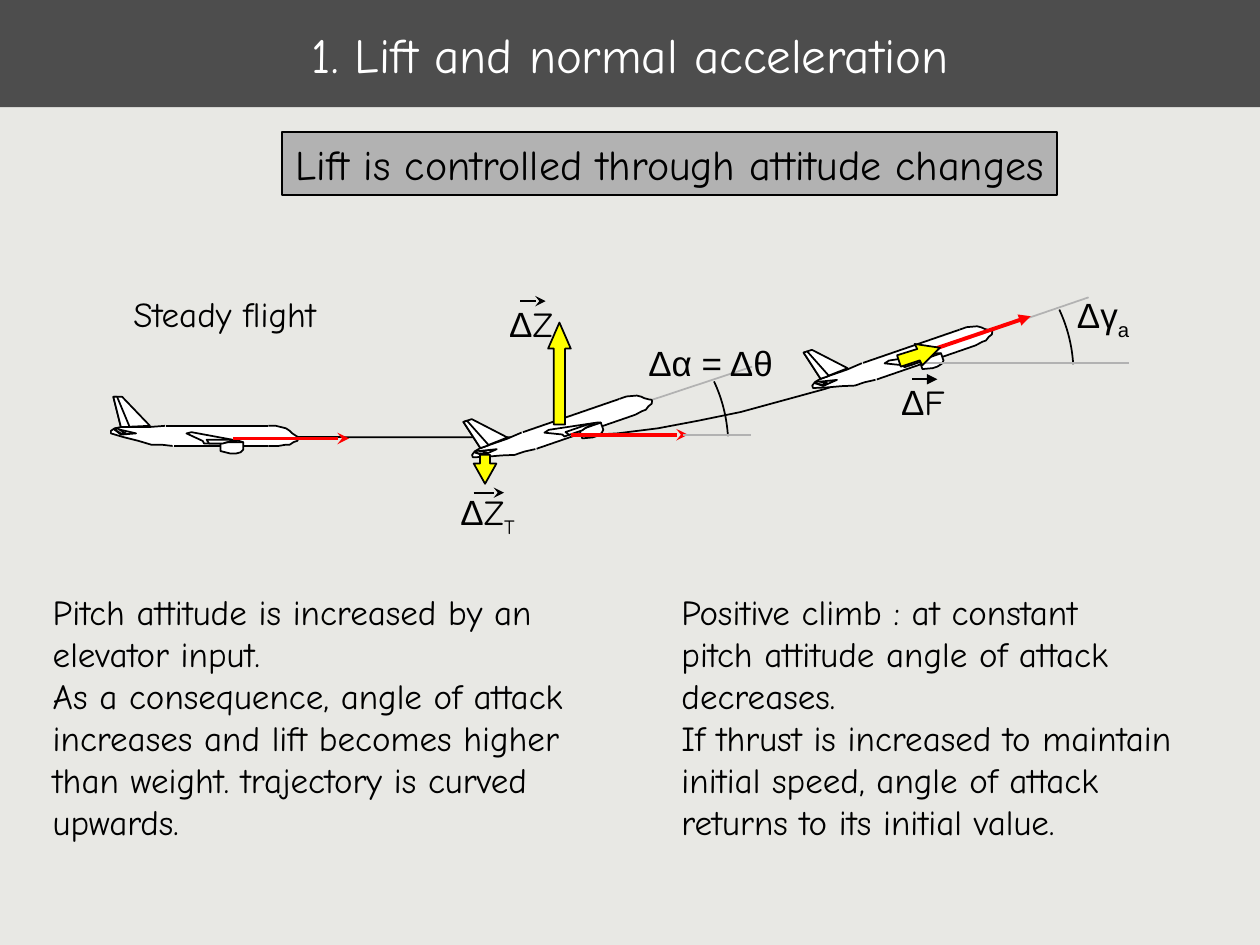
import math
from dataclasses import dataclass
from typing import Optional

import pptx
import pptx.dml.color
import pptx.enum.shapes
import pptx.enum.text
import pptx.oxml
import pptx.oxml.ns
import pptx.util

RGBColor = pptx.dml.color.RGBColor
MSO_SHAPE = pptx.enum.shapes.MSO_SHAPE
ALIGN = pptx.enum.text.PP_ALIGN
ANCHOR = pptx.enum.text.MSO_ANCHOR
Point = tuple[float, float]

BLACK = RGBColor(0, 0, 0)
WHITE = RGBColor(255, 255, 255)
RED = RGBColor(255, 0, 0)
YELLOW = RGBColor(255, 255, 0)
SILVER = RGBColor(0xB2, 0xB2, 0xB2)
CHARCOAL = RGBColor(0x4D, 0x4D, 0x4D)
PAPER = RGBColor(0xE8, 0xE8, 0xE4)
HAND, SANS = "Comic Neue", "Arial"

SLIDE_WIDTH, SLIDE_HEIGHT = pptx.util.Inches(10), pptx.util.Inches(7.5)
COLUMNS, ROWS = 1000, 750


@dataclass(frozen=True)
class Line:
    start: Point
    end: Point
    color: RGBColor = BLACK
    weight: float = 1
    head: Optional[str] = None


@dataclass(frozen=True)
class Run:
    text: str
    font: str = HAND
    subscript: bool = False


@dataclass(frozen=True)
class TextBlock:
    area: tuple[float, float, float, float]
    paragraphs: list[list[Run]]
    align: ALIGN = ALIGN.CENTER
    anchor: ANCHOR = ANCHOR.MIDDLE
    wrap: bool = True
    grow: bool = True
    size: float = 20
    color: RGBColor = BLACK
    fill: Optional[RGBColor] = None
    border: Optional[RGBColor] = None


@dataclass(frozen=True)
class Aircraft:
    position: Point
    climb: float

    def place(self, point: Point) -> Point:
        dx, dy = point[0] - PIVOT[0], point[1] - PIVOT[1]
        cos, sin = math.cos(math.radians(self.climb)), math.sin(math.radians(self.climb))
        return self.position[0] + dx * cos + dy * sin, self.position[1] - dx * sin + dy * cos


PIVOT = (132, 338)
CABIN_CENTER, CABIN_SIZE = (172.5, 346.5), (87, 15)
ROOF = [(213, 338), (132, 338)]
BELLY = [(213, 354), (138, 354)]
NOSE = [(213, 338), (219, 338), (223, 339), (227, 340), (230, 342), (232, 344), (235, 346),
        (237, 347), (237, 348), (236, 350), (233, 351), (230, 353), (227, 353), (221, 354), (213, 354)]
TAIL_CONE = [(131, 338), (118, 339), (96, 339), (91, 340), (88, 342), (88, 344), (98, 347),
             (110, 350), (120, 353), (128, 353), (137, 354)]
FIN = [(119, 338), (97, 315), (90, 315), (96, 339), (119, 338)]
RUDDER = [(103, 339), (93, 315), (90, 315), (96, 339), (103, 339)]
WING = [(148, 344), (152, 343), (190, 350), (193, 351), (191, 352), (185, 352), (174, 352),
        (162, 352), (161, 350), (148, 344)]
ENGINE = [(193, 351), (193, 357), (191, 359), (187, 360), (183, 360), (175, 358), (175, 352),
          (181, 351), (188, 351), (193, 351)]
FLAP = [(188, 350), (183, 349), (177, 349), (164, 349), (166, 352), (177, 352), (180, 351), (188, 350)]
STABILIZER = [(108, 344), (95, 341), (91, 341), (96, 345), (108, 344)]
ELEVATOR = [(100, 344), (93, 340), (91, 341), (96, 344), (100, 344)]
AIRFRAME = [ROOF, NOSE, TAIL_CONE, BELLY, FIN, RUDDER, WING, ENGINE, FLAP, STABILIZER, ELEVATOR]

FLEET = [Aircraft((685, 288), 19), Aircraft((415, 343), 19), Aircraft(PIVOT, 0)]
TRAJECTORY = [(272, 347), (382, 347), (418, 347), (455, 346), (490, 344), (522, 340), (554, 334),
              (588, 327), (621, 318), (654, 309), (685, 299), (716, 290), (741, 282), (762, 277)]
TAIL_FORCE = [(376, 368), (381, 368), (381, 361), (389, 361), (389, 368), (394, 368), (385, 384), (376, 368)]
THRUST = [(726, 273), (728, 277), (712, 282), (715, 291), (730, 286), (732, 290), (746, 276), (726, 273)]

AXES = [Line((712, 288), (864, 236), SILVER), Line((437, 344), (597, 291), SILVER),
        Line((274, 347), (136, 347))]
VECTORS = [
    Line((185, 348), (277, 348), RED, 2.25, "stealth"),
    Line((453, 345), (546, 345), RED, 2.25, "stealth"),
    Line((732, 288), (896, 288), SILVER),
    Line((542, 345), (596, 345), SILVER),
    Line((724, 301), (744, 301), head="triangle"),
    Line((413, 239), (433, 239), head="stealth"),
    Line((376, 391), (400, 391), head="stealth"),
    Line((715, 286), (818, 251), RED, 2.25, "triangle"),
]
ARC_RADIUS = 120
ANGLE_CENTERS = [(458, 353.5), (732, 296.5)]
ARC_START, ARC_END = 335, 356.5

DELTA = Run("Δ", SANS)
LABELS = [
    TextBlock((501, 249, 126, 77), [[Run("Δα = Δθ", SANS)]]),
    TextBlock((839, 228, 73, 48), [[Run("Δγ", SANS), Run("a", SANS, True)]]),
    TextBlock((696, 297, 73, 43), [[DELTA, Run("F")]]),
    TextBlock((385, 235, 73, 43), [[DELTA, Run("Z")]]),
    TextBlock((343, 384, 88, 48), [[DELTA, Run("Z"), Run("T", HAND, True)]]),
    TextBlock((96, 227, 166, 43), [[Run("Steady flight")]], ALIGN.LEFT, ANCHOR.TOP, wrap=False),
]
EXPLANATIONS = [
    TextBlock((32, 464, 459, 210), [
        [Run("Pitch attitude is increased by an elevator input.")],
        [Run("As a consequence, angle of attack increases and lift becomes higher than weight. "
             "trajectory is curved upwards.")],
    ], ALIGN.LEFT, ANCHOR.TOP),
    TextBlock((531, 464, 439, 210), [
        [Run("Positive climb : at constant")],
        [Run("pitch attitude angle of attack decreases.")],
        [Run("If thrust is increased to maintain initial speed, angle of attack returns to its initial value.")],
    ], ALIGN.LEFT, ANCHOR.TOP),
]
HEADINGS = [
    TextBlock((224, 105, 615, 50), [[Run("Lift is controlled through attitude changes")]],
              wrap=False, size=24, fill=SILVER, border=BLACK),
    TextBlock((0, 0, COLUMNS, 85), [[Run("1. Lift and normal acceleration")]],
              grow=False, size=28, color=WHITE, fill=CHARCOAL),
]


def cell(column: float, row: float) -> tuple[int, int]:
    return round(column * SLIDE_WIDTH / COLUMNS), round(row * SLIDE_HEIGHT / ROWS)


def style(shape, fill: Optional[RGBColor], border: Optional[RGBColor]) -> None:
    shape.shadow.inherit = False
    for part, color in ((shape.fill, fill), (shape.line.fill, border)):
        if color is None:
            part.background()
        else:
            part.solid()
            part.fore_color.rgb = color
    if border is not None:
        shape.line.width = pptx.util.Pt(1)


def draw_shape(slide, kind, area, fill=None, border=None):
    shape = slide.shapes.add_shape(kind, *cell(*area[:2]), *cell(*area[2:]))
    style(shape, fill, border)
    return shape


def draw_line(slide, line: Line) -> None:
    connector = slide.shapes.add_connector(
        pptx.enum.shapes.MSO_CONNECTOR.STRAIGHT, *cell(*line.start), *cell(*line.end))
    connector.line.color.rgb = line.color
    connector.line.width = pptx.util.Pt(line.weight)
    properties = connector._element.spPr
    if line.head:
        tail = pptx.oxml.parse_xml(f'<a:tailEnd {pptx.oxml.ns.nsdecls("a")} type="{line.head}"/>')
        properties.find(pptx.oxml.ns.qn("a:ln")).append(tail)
    properties.append(pptx.oxml.parse_xml(f'<a:effectLst {pptx.oxml.ns.nsdecls("a")}/>'))


def draw_outline(slide, points: list[Point], fill: Optional[RGBColor]) -> None:
    corners = [cell(*point) for point in points]
    builder = slide.shapes.build_freeform(*corners[0])
    builder.add_line_segments(corners[1:], close=corners[0] == corners[-1])
    style(builder.convert_to_shape(), fill, BLACK)


def draw_aircraft(slide, aircraft: Aircraft) -> None:
    x, y = aircraft.place(CABIN_CENTER)
    width, height = CABIN_SIZE
    cabin = draw_shape(slide, MSO_SHAPE.RECTANGLE, (x - width / 2, y - height / 2, width, height), WHITE)
    cabin.rotation = -aircraft.climb
    for part in AIRFRAME:
        points = [aircraft.place(point) for point in part]
        if len(points) == 2:
            draw_line(slide, Line(*points))
        else:
            draw_outline(slide, points, WHITE)


def draw_arc(slide, center: Point) -> None:
    area = (center[0] - ARC_RADIUS, center[1] - ARC_RADIUS, 2 * ARC_RADIUS, 2 * ARC_RADIUS)
    arc = draw_shape(slide, MSO_SHAPE.ARC, area, border=BLACK)
    for index, degrees in enumerate((ARC_START, ARC_END)):
        arc.adjustments[index] = degrees * 0.6


def draw_text(slide, block: TextBlock) -> None:
    if block.fill is None:
        box = slide.shapes.add_textbox(*cell(*block.area[:2]), *cell(*block.area[2:]))
    else:
        box = draw_shape(slide, MSO_SHAPE.RECTANGLE, block.area, block.fill, block.border)
    frame = box.text_frame
    frame.word_wrap = block.wrap
    frame.vertical_anchor = block.anchor
    sizing = pptx.enum.text.MSO_AUTO_SIZE
    frame.auto_size = sizing.SHAPE_TO_FIT_TEXT if block.grow else sizing.NONE
    for index, runs in enumerate(block.paragraphs):
        paragraph = frame.add_paragraph() if index else frame.paragraphs[0]
        paragraph.alignment = block.align
        for item in runs:
            run = paragraph.add_run()
            run.text = item.text
            run.font.name = item.font
            run.font.size = pptx.util.Pt(block.size)
            run.font.color.rgb = block.color
            if item.subscript:
                run._r.get_or_add_rPr().set("baseline", "-25000")


def main() -> None:
    deck = pptx.Presentation()
    deck.slide_width, deck.slide_height = SLIDE_WIDTH, SLIDE_HEIGHT
    slide = deck.slides.add_slide(deck.slide_layouts[6])
    slide.background.fill.solid()
    slide.background.fill.fore_color.rgb = PAPER

    for block in EXPLANATIONS:
        draw_text(slide, block)
    for line in AXES:
        draw_line(slide, line)
    draw_outline(slide, TRAJECTORY, None)
    for aircraft in FLEET:
        draw_aircraft(slide, aircraft)
    lift = draw_shape(slide, MSO_SHAPE.UP_ARROW, (435, 256, 18, 81), YELLOW, BLACK)
    lift.adjustments[1] = 1.15
    for center in ANGLE_CENTERS:
        draw_arc(slide, center)
    for line in VECTORS:
        draw_line(slide, line)
    for force in (TAIL_FORCE, THRUST):
        draw_outline(slide, force, YELLOW)
    for block in LABELS + HEADINGS:
        draw_text(slide, block)
    deck.save("out.pptx")


if __name__ == "__main__":
    main()
